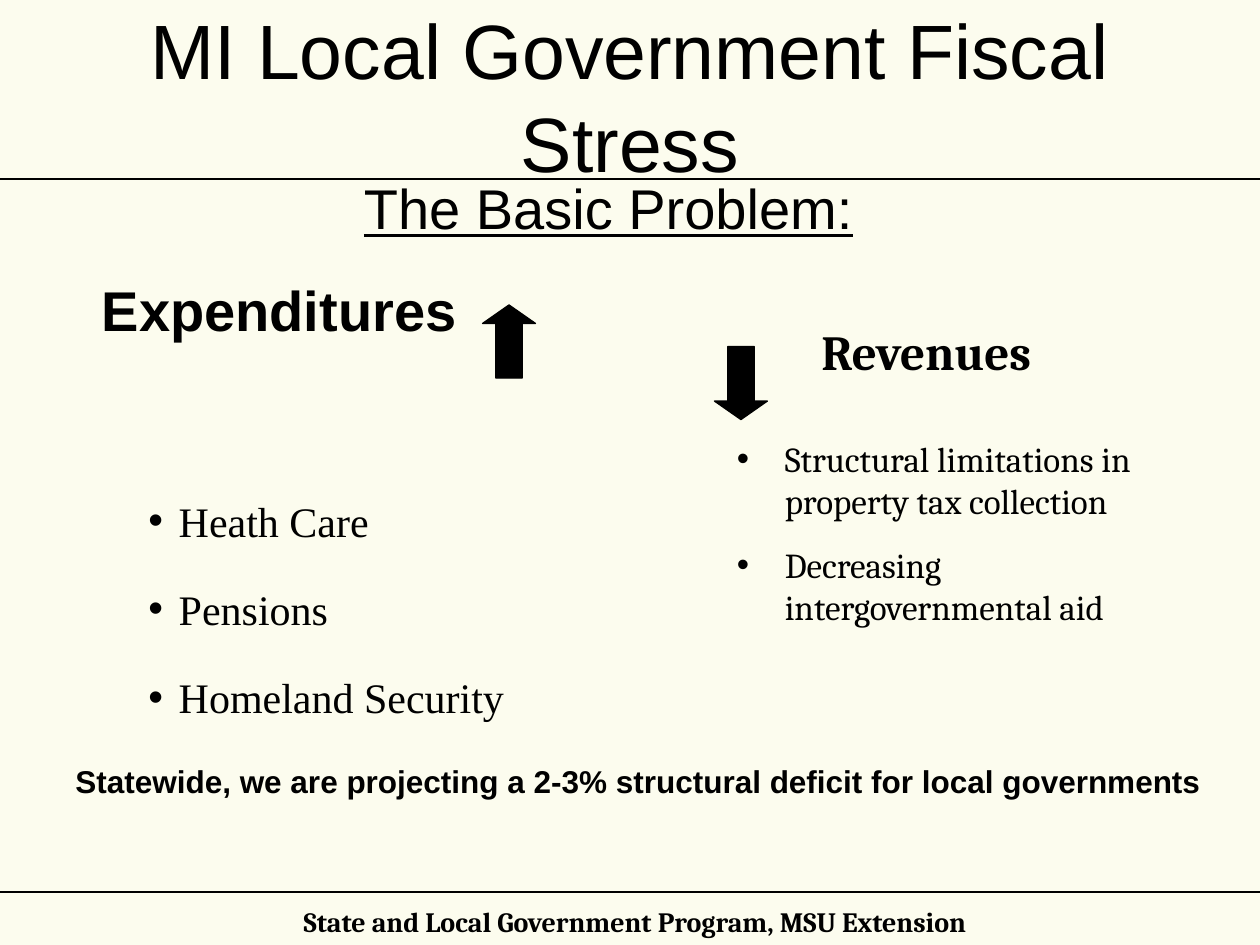
from lxml import etree
from pptx import Presentation
from pptx.dml.color import RGBColor
from pptx.enum.shapes import MSO_CONNECTOR, MSO_SHAPE
from pptx.enum.text import MSO_ANCHOR, MSO_AUTO_SIZE, PP_ALIGN
from pptx.oxml.ns import qn
from pptx.util import Inches, Pt

STRAIGHT = MSO_CONNECTOR.STRAIGHT
UP_ARROW = MSO_SHAPE.UP_ARROW
MIDDLE = MSO_ANCHOR.MIDDLE
NO_FIT = MSO_AUTO_SIZE.NONE
LEFT, CENTER = PP_ALIGN.LEFT, PP_ALIGN.CENTER

INK, PAPER = "000000", "FCFCEE"


def color(hex_string):
    return RGBColor.from_string(hex_string)


def place(shape, box):
    shape.left, shape.top, shape.width, shape.height = map(Inches, box)


def style(para, face, size, bold=False, underline=False, align=LEFT):
    para.alignment = align
    font = para.font
    font.name, font.size = face, Pt(size)
    font.bold, font.underline = bold, underline
    font.color.rgb = color(INK)


def add_frame(page, box, margins=(0.1, 0.05)):
    frame = page.shapes.add_textbox(*map(Inches, box)).text_frame
    frame.word_wrap = True
    frame.margin_left = frame.margin_right = Inches(margins[0])
    frame.margin_top = frame.margin_bottom = Inches(margins[1])
    return frame


def add_label(page, box, text, face, size, align=LEFT, margins=(0.1, 0.05)):
    para = add_frame(page, box, margins).paragraphs[0]
    para.text = text
    style(para, face, size, bold=True, align=align)


def add_bullets(page, box, items, face, size, indent, gap=0, spacing=1.0):
    frame = add_frame(page, box)
    for index, item in enumerate(items):
        para = frame.add_paragraph() if index else frame.paragraphs[0]
        para.text = item
        para.line_spacing = spacing
        para.space_before = Pt(gap if index else 0)
        properties = para._p.get_or_add_pPr()
        properties.set("marL", str(Inches(indent)))
        properties.set("indent", str(-Inches(indent)))
        etree.SubElement(properties, qn("a:buFont")).set("typeface", "Arial")
        etree.SubElement(properties, qn("a:buChar")).set("char", "•")
        style(para, face, size)


def add_rule(page, top):
    rule = page.shapes.add_connector(
        STRAIGHT, 0, Inches(top), Inches(10), Inches(top))
    rule.line.color.rgb = color(INK)
    rule.line.width = Pt(1.25)
    etree.SubElement(rule._element.spPr, qn("a:effectLst"))


def add_arrow(page, left, top, rotation=0):
    arrow = page.shapes.add_shape(
        UP_ARROW, *map(Inches, (left, top, 0.42, 0.58)))
    arrow.adjustments[0], arrow.adjustments[1] = 0.5, 0.35
    arrow.rotation = rotation
    arrow.shadow.inherit = False
    arrow.fill.solid()
    arrow.fill.fore_color.rgb = color(INK)
    arrow.line.color.rgb = color(INK)
    arrow.line.width = Pt(0.75)


def add_title(page, box, text):
    title = page.shapes.title
    place(title, box)
    frame = title.text_frame
    frame.text = text
    frame.word_wrap = True
    frame.auto_size = NO_FIT
    frame.vertical_anchor = MIDDLE
    style(frame.paragraphs[0], "Arial", 44, align=CENTER)


def add_headings(page, box):
    frame = add_frame(page, box)
    problem = frame.paragraphs[0]
    problem.text = "The Basic Problem:"
    style(problem, "Arial", 32, underline=True, align=CENTER)

    expenditures = frame.add_paragraph()
    expenditures.text = "Expenditures"
    expenditures.space_before = Pt(20)
    expenditures._p.get_or_add_pPr().set("marL", str(Inches(0.38)))
    style(expenditures, "Arial", 32, bold=True)


def add_expenditures(page, left, top):
    add_arrow(page, left + 2.75, top)
    add_bullets(page, (left, top + 1.16, 3.58, 2.2),
                ["Heath Care", "Pensions", "Homeland Security"],
                "Times New Roman", 24, indent=0.24, spacing=1.75)


def add_revenues(page, left, top):
    add_label(page, (left + 0.75, top, 2.08, 0.57), "Revenues", "Cambria", 28)
    add_arrow(page, left, top + 0.25, rotation=180)
    add_bullets(page, (left + 0.08, top + 0.92, 3.42, 2.96),
                ["Structural limitations in property tax collection",
                 "Decreasing intergovernmental aid"],
                "Cambria", 20, indent=0.38, gap=12.5)


def main():
    deck = Presentation()
    deck.slide_width, deck.slide_height = Inches(10), Inches(7.5)
    page = deck.slides.add_slide(deck.slide_layouts[5])
    page.background.fill.solid()
    page.background.fill.fore_color.rgb = color(PAPER)

    # Footer and rules
    add_label(page, (1, 7.17, 8.08, 0.29),
              "State and Local Government Program, MSU Extension",
              "Cambria", 16, align=CENTER, margins=(0.02, 0.01))
    for top in (7.08, 1.42):
        add_rule(page, top)

    # Title and headings
    add_title(page, (0.5, 0.17, 9, 1.17), "MI Local Government Fiscal Stress")
    add_headings(page, (0.33, 1.33, 9, 1.5))

    # Two sides of the problem
    add_expenditures(page, 1.08, 2.42)
    add_revenues(page, 5.67, 2.5)

    # Conclusion
    add_label(page, (0.5, 6, 9.25, 0.4),
              "Statewide, we are projecting a 2-3% structural deficit "
              "for local governments", "Arial", 18)

    deck.save("out.pptx")


if __name__ == "__main__":
    main()
